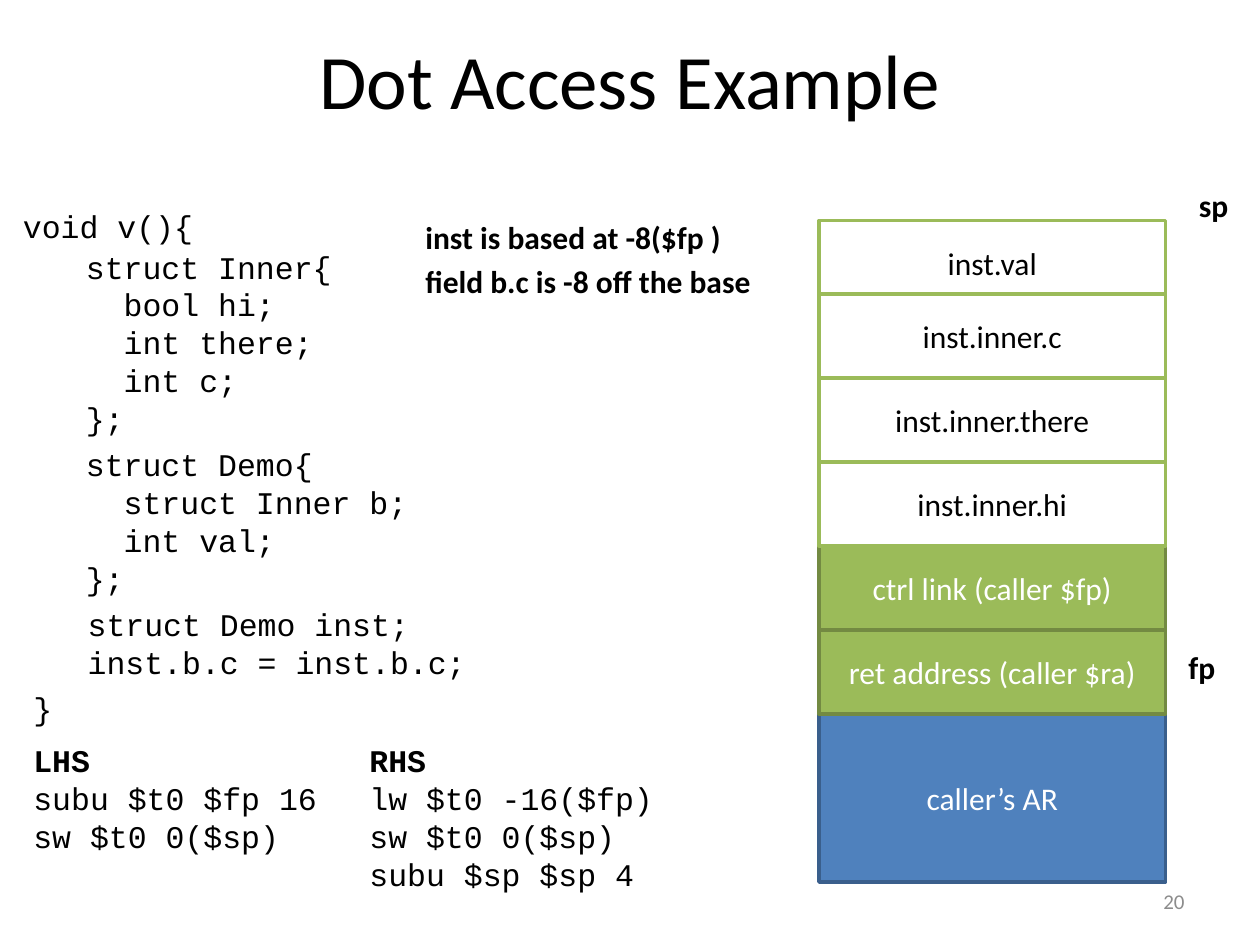
"""Build the Dot Access Example slide: code, notes and a stack frame diagram."""
from pptx import Presentation
from pptx.dml.color import RGBColor
from pptx.enum import shapes, text
from pptx.util import Pt

BLACK = RGBColor(0x00, 0x00, 0x00)
WHITE = RGBColor(0xFF, 0xFF, 0xFF)
GRAY = RGBColor(0x8C, 0x8C, 0x8C)
BLUE = RGBColor(0x4F, 0x81, 0xBD)
DARK_BLUE = RGBColor(0x3A, 0x5F, 0x8C)
GREEN = RGBColor(0x9B, 0xBB, 0x59)
DARK_GREEN = RGBColor(0x73, 0x8A, 0x42)
SANS, MONO = "Calibri", "Courier New"
LEFT, CENTER, RIGHT = (text.PP_ALIGN.LEFT, text.PP_ALIGN.CENTER,
                       text.PP_ALIGN.RIGHT)
TOP, MIDDLE = text.MSO_ANCHOR.TOP, text.MSO_ANCHOR.MIDDLE
CODE_INDENT = 21.6


def write(tf, lines, size=18, font=SANS, color=BLACK, bold=False,
          align=LEFT, anchor=TOP, wrap=True, indented=(), heading=False):
    """Fill a text frame with one paragraph per line."""
    tf.word_wrap = wrap
    tf.vertical_anchor = anchor
    for i, line in enumerate(lines):
        p = tf.paragraphs[0] if i == 0 else tf.add_paragraph()
        p.alignment = align
        if i in indented:
            p._p.get_or_add_pPr().set("marL", str(Pt(CODE_INDENT)))
        r = p.add_run()
        r.text = line
        r.font.name, r.font.size = font, Pt(size)
        r.font.bold = bold or (heading and i == 0)
        r.font.color.rgb = color


def add_text(s, box, lines, **fmt):
    """Add a text box at the given left, top, width and height."""
    sp = s.shapes.add_textbox(*map(Pt, box))
    write(sp.text_frame, lines, **fmt)


def add_title(s, box, title):
    """Place and fill the title placeholder."""
    sp = s.shapes.title
    sp.left, sp.top, sp.width, sp.height = map(Pt, box)
    write(sp.text_frame, [title], size=44, align=CENTER, anchor=MIDDLE)


def add_code(s, x, y):
    """Add the source code with its blocks offset from one corner."""
    blocks = [
        (0, 0, 112, 29, ["void v(){"], ()),
        (36, 23, 155, 117, ["struct Inner{", "bool hi;", "int there;",
                            "int c;", "};"], (1, 2, 3)),
        (36, 136, 199, 95, ["struct Demo{", "struct Inner b;", "int val;",
                            "};"], (1, 2)),
        (37, 227, 232, 51, ["struct Demo inst;", "inst.b.c = inst.b.c;"], ()),
        (6, 275, 25, 29, ["}"], ()),
    ]
    for dx, dy, w, h, lines, indented in blocks:
        add_text(s, (x + dx, y + dy, w, h), lines, font=MONO, wrap=False,
                 indented=indented)


def add_assembly(s, x, y):
    """Add the generated code for both sides of the assignment."""
    columns = [
        (0, 177, ["LHS", "subu $t0 $fp 16", "sw $t0 0($sp)"]),
        (192, 186, ["RHS", "lw $t0 -16($fp)", "sw $t0 0($sp)",
                    "subu $sp $sp 4"]),
    ]
    for dx, w, lines in columns:
        add_text(s, (x + dx, y, w, 94), lines, font=MONO, wrap=False,
                 heading=True)


def add_notes(s, x, y):
    """Add the remarks on where the instance and its field lie."""
    notes = ["inst is based at -8($fp )", "field b.c is -8 off the base"]
    for i, note in enumerate(notes):
        add_text(s, (x, y + 25 * i, 208, 29), [note], bold=True, wrap=False)


def add_cell(s, box, label, fill, line, color):
    """Add one labelled cell of the stack."""
    sp = s.shapes.add_shape(shapes.MSO_SHAPE.RECTANGLE, *map(Pt, box))
    sp.shadow.inherit = False
    sp.fill.solid()
    sp.fill.fore_color.rgb = fill
    sp.line.color.rgb = line
    sp.line.width = Pt(2)
    write(sp.text_frame, [label], color=color, align=CENTER, anchor=MIDDLE)


def add_stack(s, x, y, w, row):
    """Add the stack frame with its cells and pointer labels."""
    add_cell(s, (x, y + 6 * row - 6, w, 2 * row), "caller’s AR",
             BLUE, DARK_BLUE, WHITE)
    saved = ["ret address (caller $ra)", "ctrl link (caller $fp)"]
    for i, label in enumerate(saved):
        add_cell(s, (x, y + (5 - i) * row - 6, w, row), label,
                 GREEN, DARK_GREEN, WHITE)
    add_cell(s, (x, y, w, row), "inst.val", WHITE, GREEN, BLACK)
    fields = ["inst.inner.c", "inst.inner.there", "inst.inner.hi"]
    for i, label in enumerate(fields, 1):
        add_cell(s, (x, y + i * row - 6, w, row), label,
                 WHITE, GREEN, BLACK)
    for dx, dy, label in [(12, -23, "sp"), (6, 241, "fp")]:
        add_text(s, (x + w + dx, y + dy, 36, 29), [label], bold=True)


prs = Presentation()
prs.slide_width, prs.slide_height = Pt(720), Pt(540)
s = prs.slides.add_slide(prs.slide_layouts[5])
add_title(s, (36, 0, 648, 90), "Dot Access Example")
add_code(s, 6, 115)
add_assembly(s, 12, 420)
add_notes(s, 236, 121)
add_stack(s, 468, 126, 198, 48)
add_text(s, (516, 500.5, 168, 28.75), ["20"], size=12, color=GRAY,
         align=RIGHT, anchor=MIDDLE)
prs.save("out.pptx")
